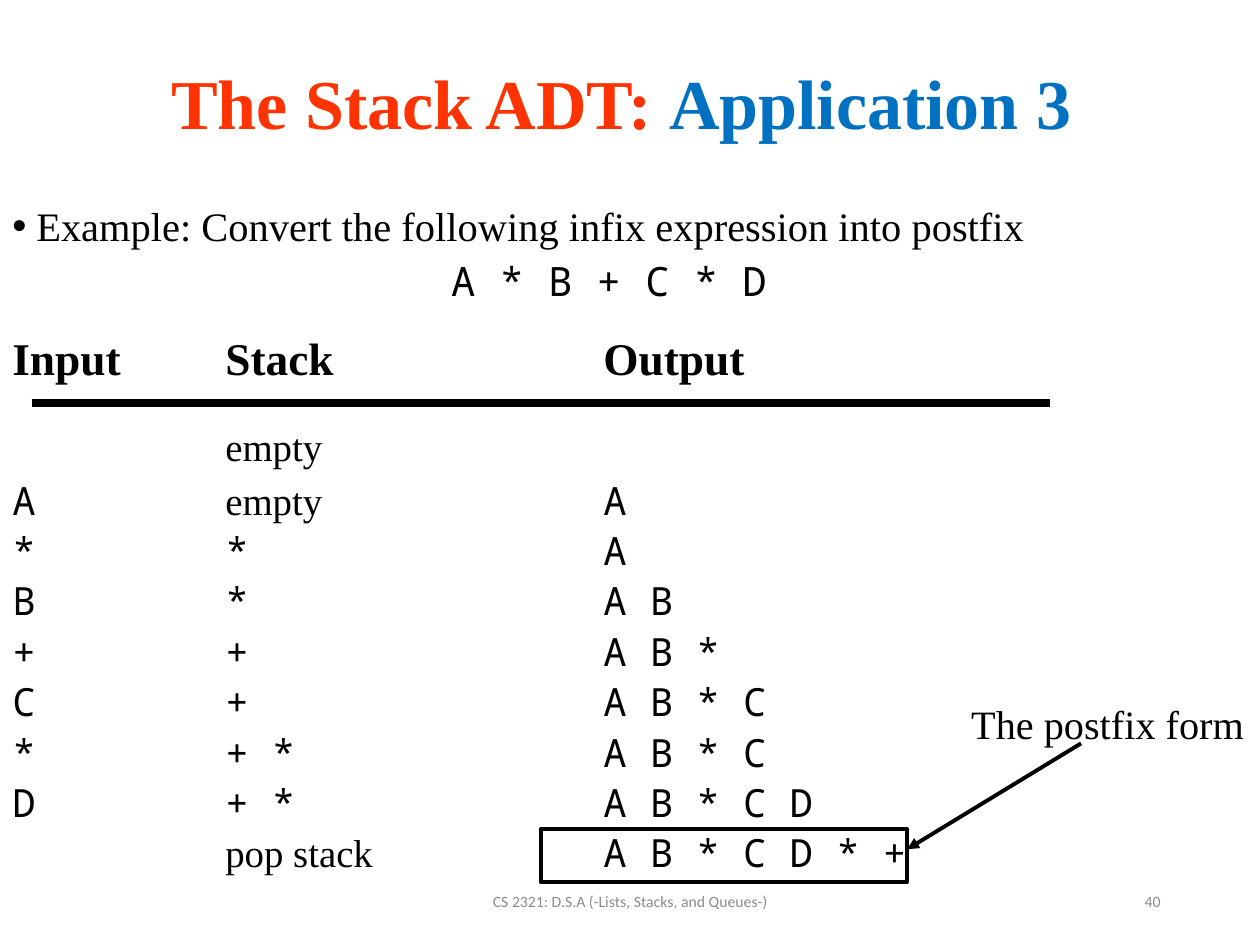
from lxml import etree
from pptx import Presentation
from pptx.dml.color import RGBColor
from pptx.enum.shapes import MSO_CONNECTOR, MSO_SHAPE
from pptx.enum.text import MSO_ANCHOR, MSO_AUTO_SIZE, PP_ALIGN
from pptx.oxml.ns import qn
from pptx.util import Inches, Pt

LEFT, CENTER, RIGHT = PP_ALIGN.LEFT, PP_ALIGN.CENTER, PP_ALIGN.RIGHT
TOP, MIDDLE = MSO_ANCHOR.TOP, MSO_ANCHOR.MIDDLE
LINE, RECT = MSO_CONNECTOR.STRAIGHT, MSO_SHAPE.RECTANGLE
FIXED = MSO_AUTO_SIZE.NONE

COLORS = {"ink": "000000", "red": "FF3300", "blue": "0070C0", "gray": "8C8C8C"}
SERIF, MONO, SANS = "Times New Roman", "Noto Sans Mono", "Calibri"
PITCH = 28.8
STOPS = (1.69, 4.69)

WORDS = ("empty", "pop stack")
ROWS = [
    ("", "empty"),
    ("A", "empty", "A"),
    ("*", "*", "A"),
    ("B", "*", "A B"),
    ("+", "+", "A B *"),
    ("C", "+", "A B * C"),
    ("*", "+ *", "A B * C"),
    ("D", "+ *", "A B * C D"),
    ("", "pop stack", "A B * C D * +"),
]


class Page:
    def __init__(self, deck):
        self.slide = deck.slides.add_slide(deck.slide_layouts[5])

    def run(self, para, text, size, font=SERIF, color="ink", bold=False):
        run = para.add_run()
        run.text = text
        run.font.size, run.font.name, run.font.bold = Pt(size), font, bold
        run.font.color.rgb = RGBColor.from_string(COLORS[color])

    def title(self, parts, x, y, w, h):
        shape = self.slide.shapes.title
        shape.left, shape.top, shape.width, shape.height = map(Inches, (x, y, w, h))
        frame = shape.text_frame
        frame.auto_size, frame.vertical_anchor = FIXED, MIDDLE
        para = frame.paragraphs[0]
        para.alignment = CENTER
        for text, color in parts:
            self.run(para, text, 40, color=color, bold=True)

    def box(self, x, y, w, h, anchor=TOP):
        frame = self.slide.shapes.add_textbox(*map(Inches, (x, y, w, h))).text_frame
        frame.word_wrap, frame.vertical_anchor = True, anchor
        return frame

    def label(self, text, x, y, w, h, size, font=SERIF, color="ink",
              align=LEFT, anchor=TOP):
        para = self.box(x, y, w, h, anchor).paragraphs[0]
        para.alignment = align
        self.run(para, text, size, font, color)

    def bullet(self, para, indent):
        props = para._p.get_or_add_pPr()
        props.set("marL", str(Inches(indent)))
        props.set("indent", str(-Inches(indent)))
        etree.SubElement(props, qn("a:buFont"), typeface="Arial")
        etree.SubElement(props, qn("a:buChar"), char="•")

    def row(self, frame, cells, size, bold=False, gap=0):
        """Add one line whose cells sit at the shared tab stops."""
        para = frame.add_paragraph()
        tabs = etree.SubElement(para._p.get_or_add_pPr(), qn("a:tabLst"))
        for stop in STOPS:
            etree.SubElement(tabs, qn("a:tab"), pos=str(Inches(stop)), algn="l")
        para.line_spacing, para.space_before = Pt(PITCH), Pt(gap)
        for i, cell in enumerate(cells):
            font = SERIF if bold or cell in WORDS else MONO
            text = "\t" + cell if i else cell
            if text:
                self.run(para, text, size, font, bold=bold)

    def line(self, x1, y1, x2, y2, width, arrow=False):
        line = self.slide.shapes.add_connector(LINE, *map(Inches, (x1, y1, x2, y2)))
        line.line.color.rgb = RGBColor.from_string(COLORS["ink"])
        line.line.width = Pt(width)
        if arrow:
            etree.SubElement(line.line._get_or_add_ln(), qn("a:tailEnd"), type="triangle")
        etree.SubElement(line._element.spPr, qn("a:effectLst"))

    def frame(self, x, y, w, h, width):
        shape = self.slide.shapes.add_shape(RECT, *map(Inches, (x, y, w, h)))
        shape.shadow.inherit = False
        shape.fill.background()
        shape.line.color.rgb = RGBColor.from_string(COLORS["ink"])
        shape.line.width = Pt(width)


def main():
    deck = Presentation()
    deck.slide_width, deck.slide_height = Inches(10), Inches(7.5)
    page = Page(deck)
    page.title([("The Stack ADT: ", "red"), ("Application 3 ", "blue")], 0, 0.5, 10, 0.61)

    body = page.box(0, 1.62, 9.67, 5.71)
    intro = body.paragraphs[0]
    page.bullet(intro, 0.19)
    intro.line_spacing = Pt(22.5)
    page.run(intro, "Example: Convert the following infix expression into postfix", 23.1)
    infix = body.add_paragraph()
    infix.alignment = CENTER
    infix.line_spacing, infix.space_before = Pt(PITCH), Pt(2.4)
    page.run(infix, "A * B + C * D", 23.1, MONO)

    page.row(body, ("Input", "Stack", "Output"), 25.9, bold=True, gap=17)
    gaps = {0: 19.5, 1: 2}
    for i, cells in enumerate(ROWS):
        page.row(body, cells, 22.2, gap=gaps.get(i, 0))

    page.line(0.25, 3.2, 8.33, 3.2, 4.5)
    page.label("The postfix form", 7.61, 5.5, 2.39, 0.48, 23)
    page.frame(4.29, 6.58, 2.91, 0.42, 2.25)
    page.line(8.58, 5.9, 7.2, 6.74, 2.25, arrow=True)

    page.label("CS 2321: D.S.A (-Lists, Stacks, and Queues-)", 3.31, 6.95, 3.38, 0.4,
               9, SANS, "gray", CENTER, MIDDLE)
    page.label("40", 7.06, 6.95, 2.25, 0.4, 9, SANS, "gray", RIGHT, MIDDLE)
    deck.save("out.pptx")


if __name__ == "__main__":
    main()
